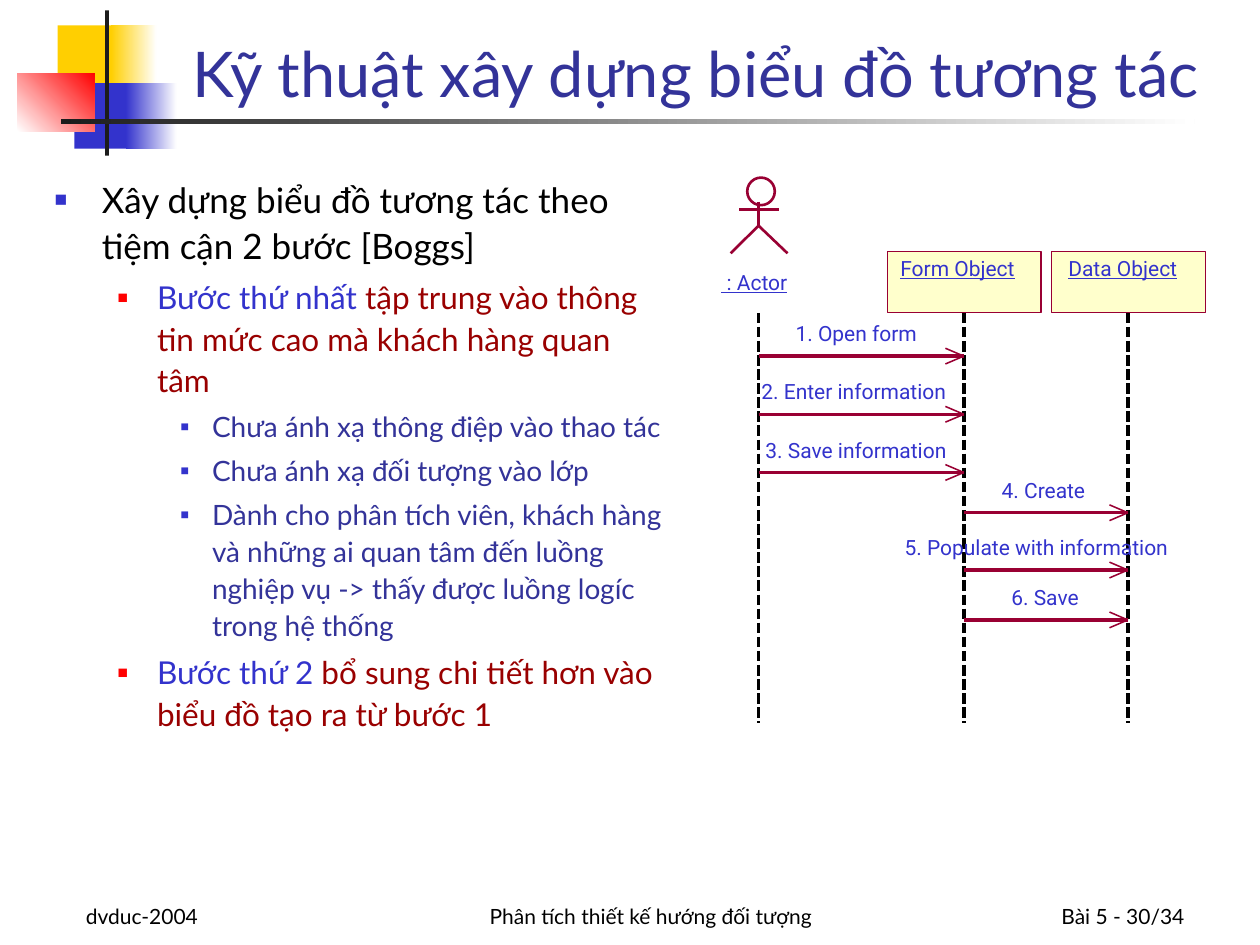
from lxml import etree
from pptx import Presentation
from pptx.dml.color import RGBColor
from pptx.enum import dml, shapes, text
from pptx.oxml import ns
from pptx.util import Pt

theme = {
    "gold": "FFCF01", "blue": "3333CC", "red": "FF0000", "dark": "1C1C1C",
    "white": "FFFFFF", "black": "000000", "navy": "333399", "maroon": "990000",
    "wine": "990033", "cream": "FFFFCC",
    "title": 36, "levels": (20, 18, 16), "small": 12,
    "font": "Lato", "diagram font": "Roboto",
}
colour = {name: RGBColor.from_string(value)
          for name, value in theme.items() if isinstance(value, str) and len(value) == 6
          and "font" not in name}

deck = Presentation()
deck.slide_width, deck.slide_height = Pt(720), Pt(540)
page = deck.slides.add_slide(deck.slide_layouts[1])


def write(para, words, size, tint, font=theme["font"], underline=None):
    span = para.add_run()
    span.text = words
    formats = {"size": Pt(size), "name": font, "underline": underline}
    for key, value in formats.items():
        setattr(span.font, key, value)
    span.font.color.rgb = colour[tint]


def draw_line(x1, y1, x2, y2, width, tint="wine"):
    line = page.shapes.add_connector(
        shapes.MSO_CONNECTOR.STRAIGHT, Pt(x1), Pt(y1), Pt(x2), Pt(y2))
    line.line.color.rgb = colour[tint]
    line.line.width = Pt(width)
    etree.SubElement(line._element.spPr, ns.qn("a:effectLst"))
    return line


decorations = [
    (33, 14.5, 34.5, 37.5, ["gold"], 0),
    (63.5, 14.5, 26, 37.5, ["gold", "white"], 0),
    (42.5, 47.5, 33, 37.5, ["blue"], 0),
    (72, 47.5, 29, 37.5, ["blue", "white"], 0),
    (10, 41.75, 44, 33.25, ["white", "red"], 45),
    (60, 6, 2.25, 83, ["dark"], 0),
    (34.75, 68.25, 648, 2.5, ["dark", "white"], 0),
]
for left, top, width, height, tints, angle in decorations:
    block = page.shapes.add_shape(
        shapes.MSO_SHAPE.RECTANGLE, Pt(left), Pt(top), Pt(width), Pt(height))
    block.shadow.inherit = False
    block.line.fill.background()
    if len(tints) == 1:
        block.fill.solid()
        block.fill.fore_color.rgb = colour[tints[0]]
    else:
        block.fill.gradient()
        block.fill.gradient_angle = angle
        for stop, tint in zip(block.fill.gradient_stops, tints):
            stop.color.rgb = colour[tint]

footers = [
    (42, 150, "dvduc-2004", text.PP_ALIGN.LEFT),
    (234, 276, "Phân tích thiết kế hướng đối tượng", text.PP_ALIGN.CENTER),
    (534, 150, "Bài 5 - 30/34", text.PP_ALIGN.RIGHT),
]
for left, width, words, align in footers:
    box = page.shapes.add_textbox(Pt(left), Pt(498), Pt(width), Pt(36))
    box.text_frame.word_wrap = True
    box.text_frame.vertical_anchor = text.MSO_ANCHOR.BOTTOM
    para = box.text_frame.paragraphs[0]
    para.alignment = align
    write(para, words, theme["small"], "black")

title, body = page.shapes.title, page.placeholders[1]
placements = [
    (title, 91, 6, 613, 60.5, text.MSO_ANCHOR.BOTTOM),
    (body, 24, 96, 366, 396, text.MSO_ANCHOR.TOP),
]
for box, left, top, width, height, anchor in placements:
    placement = {"left": Pt(left), "top": Pt(top), "width": Pt(width), "height": Pt(height)}
    for key, value in placement.items():
        setattr(box, key, value)
    frame_formats = {"word_wrap": True, "auto_size": text.MSO_AUTO_SIZE.NONE,
                     "vertical_anchor": anchor}
    for key, value in frame_formats.items():
        setattr(box.text_frame, key, value)

para = title.text_frame.paragraphs[0]
para.alignment = text.PP_ALIGN.CENTER
write(para, "Kỹ thuật xây dựng biểu đồ tương tác", theme["title"], "navy")

levels = [(27, 27, 5, "blue", 60), (58.5, 22.5, 4.5, "red", 55), (90, 18, 4, "blue", 50)]
points = [
    (0, [("Xây dựng biểu đồ tương tác theo tiệm cận 2 bước [Boggs]", "black")]),
    (1, [("Bước thứ nhất", "blue"),
         (" tập trung vào thông tin mức cao mà khách hàng quan tâm", "maroon")]),
    (2, [("Chưa ánh xạ thông điệp vào thao tác", "navy")]),
    (2, [("Chưa ánh xạ đối tượng vào lớp", "navy")]),
    (2, [("Dành cho phân tích viên, khách hàng và những ai quan tâm đến luồng "
          "nghiệp vụ -> thấy được luồng logíc trong hệ thống", "navy")]),
    (1, [("Bước thứ 2", "blue"),
         (" bổ sung chi tiết hơn vào biểu đồ tạo ra từ bước 1", "maroon")]),
]
for index, (level, spans) in enumerate(points):
    frame = body.text_frame
    para = frame.add_paragraph() if index else frame.paragraphs[0]
    margin, hang, before, bullet_tint, bullet_size = levels[level]
    para_formats = {"level": level, "line_spacing": 1.1, "space_before": Pt(before)}
    for key, value in para_formats.items():
        setattr(para, key, value)
    props = para._p.get_or_add_pPr()
    props.set("marL", str(Pt(margin)))
    props.set("indent", str(-Pt(hang)))
    bullet_colour = etree.SubElement(props, ns.qn("a:buClr"))
    etree.SubElement(bullet_colour, ns.qn("a:srgbClr"), val=theme[bullet_tint])
    etree.SubElement(props, ns.qn("a:buSzPct"), val=str(bullet_size * 1000))
    etree.SubElement(props, ns.qn("a:buChar"), char="■")
    for words, tint in spans:
        write(para, words, theme["levels"][level], tint)

actor_x, form_x, data_x = 433.5, 550.75, 644.5
head = page.shapes.add_shape(
    shapes.MSO_SHAPE.OVAL, Pt(427), Pt(101.5), Pt(15.75), Pt(15.75))
builder = page.shapes.build_freeform(Pt(417.5), Pt(144.75))
builder.add_line_segments(
    [(Pt(actor_x), Pt(129)), (Pt(450), Pt(144.75))], close=False)
legs = builder.convert_to_shape()
for part in (head, legs):
    part.shadow.inherit = False
    part.fill.background()
    part.line.color.rgb = colour["wine"]
    part.line.width = Pt(1.5)
draw_line(actor_x, 115.25, actor_x, 129, 1.5)
draw_line(422.5, 119.75, 445, 119.75, 1.5)

for left in (507, 601):
    card = page.shapes.add_shape(
        shapes.MSO_SHAPE.RECTANGLE, Pt(left), Pt(143.75), Pt(88), Pt(35))
    card.shadow.inherit = False
    card.fill.solid()
    card.fill.fore_color.rgb = colour["cream"]
    card.line.color.rgb = colour["wine"]
    card.line.width = Pt(0)

for x in (actor_x, form_x, data_x):
    lifeline = draw_line(x, 178.75, x, 413.25, 0, "black")
    lifeline.line.dash_style = dml.MSO_LINE.SQUARE_DOT

labels = [
    (412.25, 154, 39.5, " : Actor", True),
    (514.5, 146.25, 70, "Form Object", True),
    (610.5, 146.25, 66, "Data Object", True),
]
messages = [
    (actor_x, form_x, 203.5, 75, "1. Open form"),
    (actor_x, form_x, 236.75, 114, "2. Enter information"),
    (actor_x, form_x, 270, 109.5, "3. Save information"),
    (form_x, data_x, 293, 50.5, "4. Create"),
    (form_x, data_x, 325.75, 161.5, "5. Populate with information"),
    (form_x, data_x, 354.25, 39.5, "6. Save"),
]
for start, end, y, width, words in messages:
    draw_line(start, y, end, y, 0)
    for rise in (4.5, -4.5):
        draw_line(end, y, end - 10.5, y + rise, 0.88)
    labels.append(((start + end - width) / 2, y - 20.25, width, words, None))

for left, top, width, words, underline in labels:
    box = page.shapes.add_textbox(Pt(left), Pt(top), Pt(width), Pt(14.5))
    label_formats = {"margin_left": 0, "margin_right": 0, "margin_top": 0,
                     "margin_bottom": 0, "word_wrap": False,
                     "auto_size": text.MSO_AUTO_SIZE.SHAPE_TO_FIT_TEXT}
    for key, value in label_formats.items():
        setattr(box.text_frame, key, value)
    write(box.text_frame.paragraphs[0], words, theme["small"], "blue",
          theme["diagram font"], underline)

deck.save("out.pptx")
